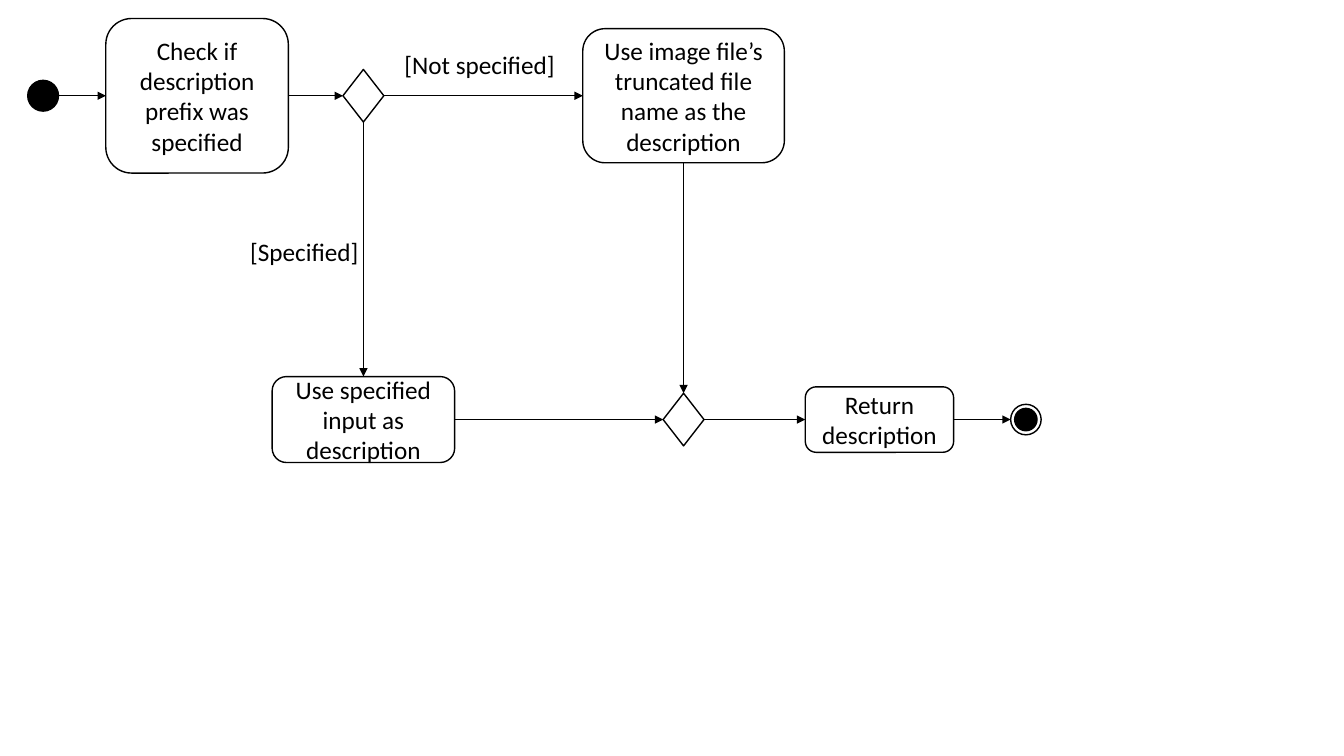
from lxml import etree
from pptx import Presentation
from pptx.dml.color import RGBColor
from pptx.enum import shapes, text
from pptx.oxml import ns
from pptx.util import Pt

BLACK = RGBColor(0, 0, 0)
WHITE = RGBColor(255, 255, 255)
KIND = shapes.MSO_SHAPE
UP, LEFT, DOWN, RIGHT = range(4)
SIDES = {UP: (0, -0.5), LEFT: (-0.5, 0), DOWN: (0, 0.5), RIGHT: (0.5, 0)}


def style(item, form):
    for name, value in form.items():
        setattr(item, name, value)


class Flow:
    font = {"name": "Calibri", "size": Pt(18)}
    inset = {"word_wrap": True, "vertical_anchor": text.MSO_ANCHOR.MIDDLE}
    loose = {"word_wrap": False, "auto_size": text.MSO_AUTO_SIZE.SHAPE_TO_FIT_TEXT}

    def __init__(self, slide):
        self.slide = slide

    def fill_text(self, frame, words, form, align):
        style(frame, form)
        frame.text = words
        for para in frame.paragraphs:
            para.alignment = align
            style(para.font, self.font)
            para.font.color.rgb = BLACK

    def shape(self, kind, x, y, wide, high, fill=WHITE):
        item = self.slide.shapes.add_shape(
            kind, Pt(x - wide / 2), Pt(y - high / 2), Pt(wide), Pt(high))
        item.shadow.inherit = False
        item.fill.solid()
        item.fill.fore_color.rgb = fill
        item.line.color.rgb = BLACK
        item.line.width = Pt(1)
        return item

    def dot(self, x, y, size, fill):
        return self.shape(KIND.FLOWCHART_CONNECTOR, x, y, size, size, fill)

    def branch(self, x, y):
        return self.shape(KIND.FLOWCHART_DECISION, x, y, 29.2, 37.6)

    def action(self, x, y, wide, high, words):
        item = self.shape(KIND.ROUNDED_RECTANGLE, x, y, wide, high)
        self.fill_text(item.text_frame, words, self.inset, text.PP_ALIGN.CENTER)
        return item

    def label(self, x, y, wide, words):
        box = self.slide.shapes.add_textbox(Pt(x), Pt(y), Pt(wide), Pt(29))
        self.fill_text(box.text_frame, words, self.loose, text.PP_ALIGN.LEFT)

    def arrow(self, start, out, end, into):
        spots = []
        for item, side in ((start, out), (end, into)):
            across, down = SIDES[side]
            spots += [round(item.left + item.width * (0.5 + across)),
                      round(item.top + item.height * (0.5 + down))]
        link = self.slide.shapes.add_connector(shapes.MSO_CONNECTOR.STRAIGHT, *spots)
        link.line.color.rgb = BLACK
        link.line.width = Pt(0.5)
        for item, side, join in ((start, out, link.begin_connect),
                                 (end, into, link.end_connect)):
            if item.auto_shape_type != KIND.FLOWCHART_CONNECTOR:
                join(item, side)
        props = link.element.spPr
        tip = etree.SubElement(props.find(ns.qn("a:ln")), ns.qn("a:tailEnd"))
        tip.set("type", "triangle")
        etree.SubElement(props, ns.qn("a:effectLst"))


deck = Presentation()
style(deck, {"slide_width": Pt(960), "slide_height": Pt(540)})
flow = Flow(deck.slides.add_slide(deck.slide_layouts[6]))

TOP, LOW = 68.4, 299.7
FORK, MERGE = 259.6, 488.3

start = flow.dot(30.8, TOP, 22, BLACK)
check = flow.action(140.8, TOP, 130.4, 110.4, "Check if description prefix was specified")
fork = flow.branch(FORK, TOP)
trim = flow.action(MERGE, TOP, 144, 95.8,
                   "Use image file’s truncated file name as the description")
given = flow.action(FORK, LOW, 130.4, 61.4, "Use specified input as description")
merge = flow.branch(MERGE, LOW)
give = flow.action(628.2, LOW, 106, 46.8, "Return\ndescription")
end = flow.dot(732.8, LOW, 21.8, WHITE)
flow.dot(732.8, LOW, 16, BLACK)

flow.label(171.6, 165, 93, "[Specified]")
flow.label(281.8, 31.8, 123, "[Not specified]")

for row in ((start, check, fork, trim), (given, merge, give, end)):
    for one, two in zip(row, row[1:]):
        flow.arrow(one, RIGHT, two, LEFT)
for one, two in ((fork, given), (trim, merge)):
    flow.arrow(one, DOWN, two, UP)

deck.save("out.pptx")
